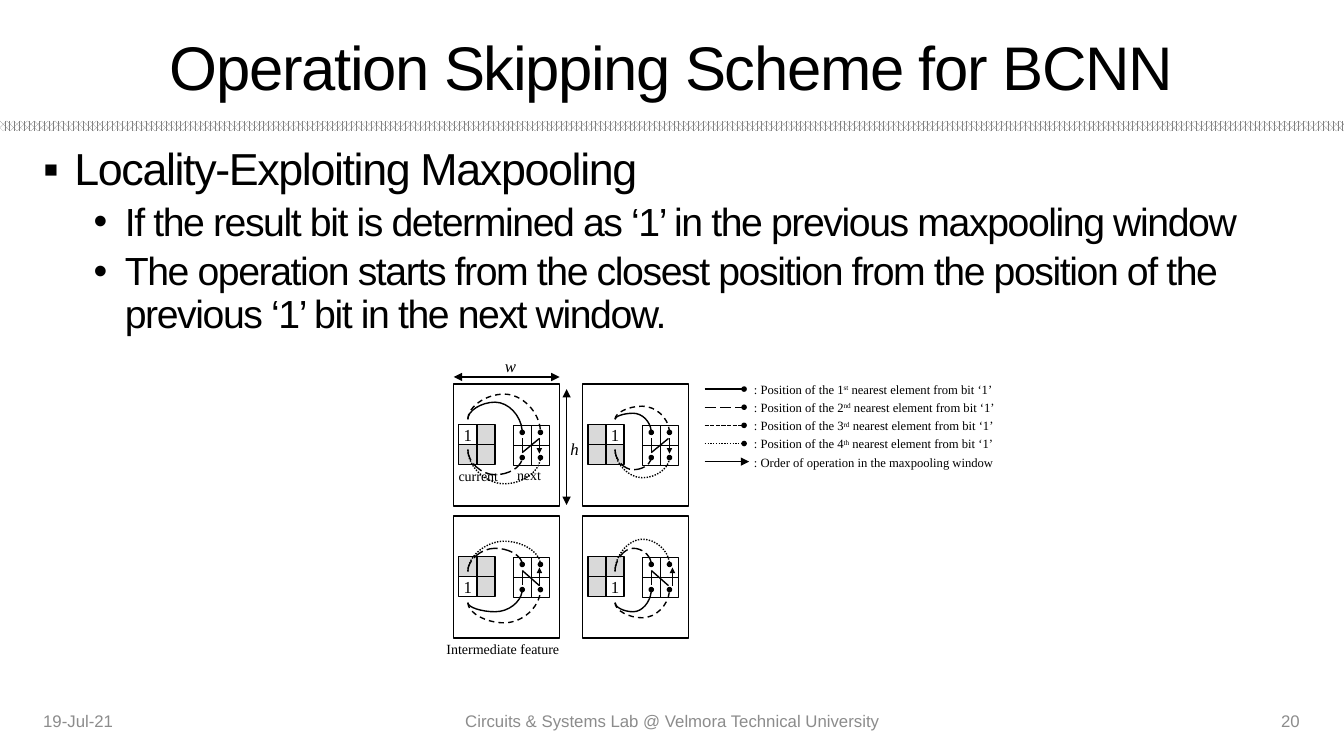
from dataclasses import dataclass
from itertools import product

from lxml.etree import SubElement
from pptx import Presentation
from pptx.dml.color import RGBColor
from pptx.enum.dml import MSO_LINE, MSO_PATTERN
from pptx.enum.shapes import MSO_CONNECTOR as CONN, MSO_SHAPE
from pptx.enum.text import MSO_ANCHOR as ANCHOR, MSO_AUTO_SIZE, PP_ALIGN as ALIGN
from pptx.oxml.ns import qn
from pptx.util import Inches, Pt


@dataclass(frozen=True)
class Theme:
    sans: str = "Arial"
    serif: str = "Times New Roman"
    black: RGBColor = RGBColor(0, 0, 0)
    white: RGBColor = RGBColor(255, 255, 255)
    footer: RGBColor = RGBColor(0x8C, 0x8C, 0x8C)
    rule: RGBColor = RGBColor(0x80, 0x80, 0x80)
    cell: RGBColor = RGBColor(0xD9, 0xD9, 0xD9)
    title_pt: int = 44
    body_pts: tuple = (32, 28)
    footer_pt: int = 12
    mark_pt: int = 12
    caption_pt: int = 10
    legend_pt: int = 9
    line_pt: int = 1


T = Theme()
CELL_W, CELL_H = 0.18, 0.2
PANEL_W, PANEL_H = 1.05, 1.21
NEAREST_DASHES = (None, MSO_LINE.LONG_DASH, MSO_LINE.SQUARE_DOT, MSO_LINE.ROUND_DOT)
BODY = (
    (0, "Locality-Exploiting Maxpooling"),
    (1, "If the result bit is determined as ‘1’ in the previous maxpooling window"),
    (1, "The operation starts from the closest position from the position of the "
        "previous ‘1’ bit in the next window."),
)
# (row, column) of bit ‘1’: heights of the two near and two far arcs, x of the order arrow
PANELS = {
    (0, 0): ((0.18, 0.10, 0.90, 0.99), 0.85),
    (0, 1): ((0.29, 0.22, 0.85, 0.93), 0.86),
    (1, 0): ((0.95, 1.06, 0.32, 0.25), 0.85),
    (1, 1): ((0.95, 1.01, 0.32, 0.23), 0.89),
}


def style_run(r, size, font, color, spacing=0, italic=False):
    r.font.size, r.font.name, r.font.color.rgb = Pt(size), font, color
    if italic:
        r.font.italic = True
    if spacing:
        r._r.get_or_add_rPr().set("spc", str(spacing))


def add_text(s, box, text, size, font=T.serif, color=T.black, align=ALIGN.LEFT,
             anchor=ANCHOR.TOP, wrap=True, **run_style):
    tf = s.shapes.add_textbox(*map(Inches, box)).text_frame
    tf.word_wrap, tf.vertical_anchor = wrap, anchor
    if not wrap:
        tf.auto_size = MSO_AUTO_SIZE.SHAPE_TO_FIT_TEXT
    p = tf.paragraphs[0]
    p.text, p.alignment = text, align
    style_run(p.runs[0], size, font, color, **run_style)
    return p


def add_rect(s, box, fill=None):
    sp = s.shapes.add_shape(MSO_SHAPE.RECTANGLE, *map(Inches, box))
    sp.shadow.inherit = False
    sp.line.color.rgb, sp.line.width = T.black, Pt(T.line_pt)
    if fill is None:
        sp.fill.background()
    else:
        sp.fill.solid()
        sp.fill.fore_color.rgb = fill
    return sp


def add_line(s, start, end, dash=None, head=None, tail=None, end_size="med",
             kind=CONN.STRAIGHT):
    c = s.shapes.add_connector(kind, *map(Inches, (*start, *end)))
    c.line.color.rgb, c.line.width = T.black, Pt(T.line_pt)
    if dash is not None:
        c.line.dash_style = dash
    ln = c.line._get_or_add_ln()
    for tag, end_type in (("a:headEnd", head), ("a:tailEnd", tail)):
        if end_type:
            SubElement(ln, qn(tag), type=end_type, w=end_size, len=end_size)
    SubElement(c._element.spPr, qn("a:effectLst"))
    return c


def add_arc(s, start, end, apex, dash):
    """Curve that leaves and arrives vertically, turning at height apex."""
    (x1, y1), (x2, y2) = start, end
    c = add_line(s, start, end, dash, tail="oval", end_size="sm", kind=CONN.CURVE)
    w, h = abs(y2 - y1), abs(x2 - x1)
    c.left, c.top = Inches((x1 + x2 - w) / 2), Inches((y1 + y2 - h) / 2)
    c.width, c.height = Inches(w), Inches(h)
    xfrm = c._element.spPr.find(qn("a:xfrm"))
    down = y2 > y1
    xfrm.set("rot", str((270 if down else 90) * 60000))
    xfrm.set("flipH", "1")
    xfrm.set("flipV", "0" if down else "1")
    geom = c._element.spPr.find(qn("a:prstGeom"))
    guides = geom.find(qn("a:avLst"))
    if guides is None:
        guides = SubElement(geom, qn("a:avLst"))
    ratio = round((apex - y1) / (y2 - y1) * 100000)
    SubElement(guides, qn("a:gd"), name="adj1", fmla=f"val {ratio}")


def draw_window(s, left, top, bit=None):
    """2 × 2 maxpooling window; with a bit, all the other cells are shaded."""
    for row, col in product(range(2), repeat=2):
        fill = T.cell if bit and (row, col) != bit else None
        add_rect(s, (left + col * CELL_W, top + row * CELL_H, CELL_W, CELL_H), fill)


def draw_panel(s, left, top, bit, apexes, arrow_x):
    row, col = bit

    def at(x, y):
        return left + x, top + y

    add_text(s, (*at(col * CELL_W, 0.35 + row * CELL_H), 0.29, 0.3), "1", T.mark_pt)
    draw_window(s, *at(0.05, 0.4), bit)
    draw_window(s, *at(0.59, 0.41))

    near_y, far_y = ((0.35, 0.65), (0.86, 0.55))[row]
    near_end, far_end = ((0.48, 0.73), (0.73, 0.48))[row]
    arcs = ((near_y, near_end, 0.68, None), (near_y, near_end, 0.86, MSO_LINE.DASH),
            (far_y, far_end, 0.68, MSO_LINE.LONG_DASH),
            (far_y, far_end, 0.86, MSO_LINE.ROUND_DOT))
    for (y1, y2, x2, dash), apex in zip(arcs, apexes):
        add_arc(s, at(0.14 + col * CELL_W, y1), at(x2, y2), top + apex, dash)

    first, last = ((0.54, 0.68), (0.69, 0.54))[row]
    add_line(s, at(0.68, 0.68), at(0.68, 0.54))
    add_line(s, at(0.85, first), at(0.68, last))
    add_line(s, at(arrow_x, first), at(arrow_x, (0.69, 0.51)[row]),
             tail="triangle", end_size="sm")
    add_rect(s, (left, top, PANEL_W, PANEL_H))


def draw_diagram(s, left, top):
    for (row, col), (apexes, arrow_x) in PANELS.items():
        draw_panel(s, left + col * 1.28, top + row * 1.31, (row, col), apexes, arrow_x)
    both = dict(head="triangle", tail="triangle")
    add_line(s, (left + PANEL_W, top - 0.07), (left, top - 0.07), **both)
    add_line(s, (left + 1.12, top + 0.05), (left + 1.12, top + 1.2), **both)
    for x, y, name in ((0.41, -0.33, "w"), (1.06, 0.49, "h")):
        add_text(s, (left + x, top + y, 0.33, 0.3), name, T.mark_pt, italic=True)
    for x, y, w, caption in ((-0.05, 0.78, 0.67, "current"), (0.53, 0.77, 0.5, "next"),
                             (-0.17, 2.5, 1.34, "Intermediate feature")):
        add_text(s, (left + x, top + y, w, 0.27), caption, T.caption_pt)


def draw_legend(s, left, top, step=0.18):
    def label(y, text):
        return add_text(s, (left + 0.39, y - 0.12, 2.6, 0.25), text, T.legend_pt, wrap=False)

    for i, (dash, suffix) in enumerate(zip(NEAREST_DASHES, ("st", "nd", "rd", "th"))):
        y = top + i * step
        add_line(s, (left, y), (left + 0.39, y), dash, tail="oval", end_size="sm")
        p = label(y, f": Position of the {i + 1}")
        for text, baseline in ((suffix, 30000), (" nearest element from bit ‘1’", 0)):
            r = p.add_run()
            r.text = text
            style_run(r, T.legend_pt, T.serif, T.black)
            r._r.get_or_add_rPr().set("baseline", str(baseline))
    y = top + len(NEAREST_DASHES) * step
    add_line(s, (left, y), (left + 0.44, y), tail="triangle")
    label(y, ": Order of operation in the maxpooling window")


def draw_header(s):
    rule = add_rect(s, (0, 1.2, 13.33, 0.1))
    rule.line.fill.background()
    rule.fill.patterned()
    rule.fill.pattern = MSO_PATTERN.PERCENT_70
    rule.fill.fore_color.rgb, rule.fill.back_color.rgb = T.rule, T.white
    add_text(s, (0.33, 0.22, 12.66, 0.87), "Operation Skipping Scheme for BCNN", T.title_pt,
             T.sans, align=ALIGN.CENTER, anchor=ANCHOR.MIDDLE, spacing=-100)


def draw_body(s, box):
    tf = s.shapes.add_textbox(*map(Inches, box)).text_frame
    tf.word_wrap = True
    for i, (level, text) in enumerate(BODY):
        p = tf.add_paragraph() if i else tf.paragraphs[0]
        p.text, p.level, p.line_spacing = text, level, 0.9
        p.space_before = Pt((10, 5)[level])
        style_run(p.runs[0], T.body_pts[level], T.sans, T.black, spacing=-100)
        pPr = p._p.get_or_add_pPr()
        pPr.set("marL", str(Inches((0.31, 0.81)[level])))
        pPr.set("indent", str(-Inches(0.31)))
        SubElement(pPr, qn("a:buFont"), typeface=T.sans)
        SubElement(pPr, qn("a:buChar"), char="▪•"[level])


def draw_footer(s, top):
    for left, width, text, align in (
            (0.33, 3, "19-Jul-21", ALIGN.LEFT),
            (4.42, 4.5, "Circuits & Systems Lab @ Velmora Technical University", ALIGN.CENTER),
            (9.95, 3.04, "20", ALIGN.RIGHT)):
        add_text(s, (left, top, width, 0.4), text, T.footer_pt, T.sans, T.footer,
                 align, ANCHOR.MIDDLE)


def main():
    prs = Presentation()
    prs.slide_width, prs.slide_height = Inches(13.33), Inches(7.5)
    s = prs.slides.add_slide(prs.slide_layouts[6])
    draw_header(s)
    draw_body(s, (0.33, 1.41, 12.66, 5.35))
    draw_footer(s, 6.95)
    draw_diagram(s, 4.5, 3.81)
    draw_legend(s, 6.99, 3.86)
    prs.save("out.pptx")


if __name__ == "__main__":
    main()
